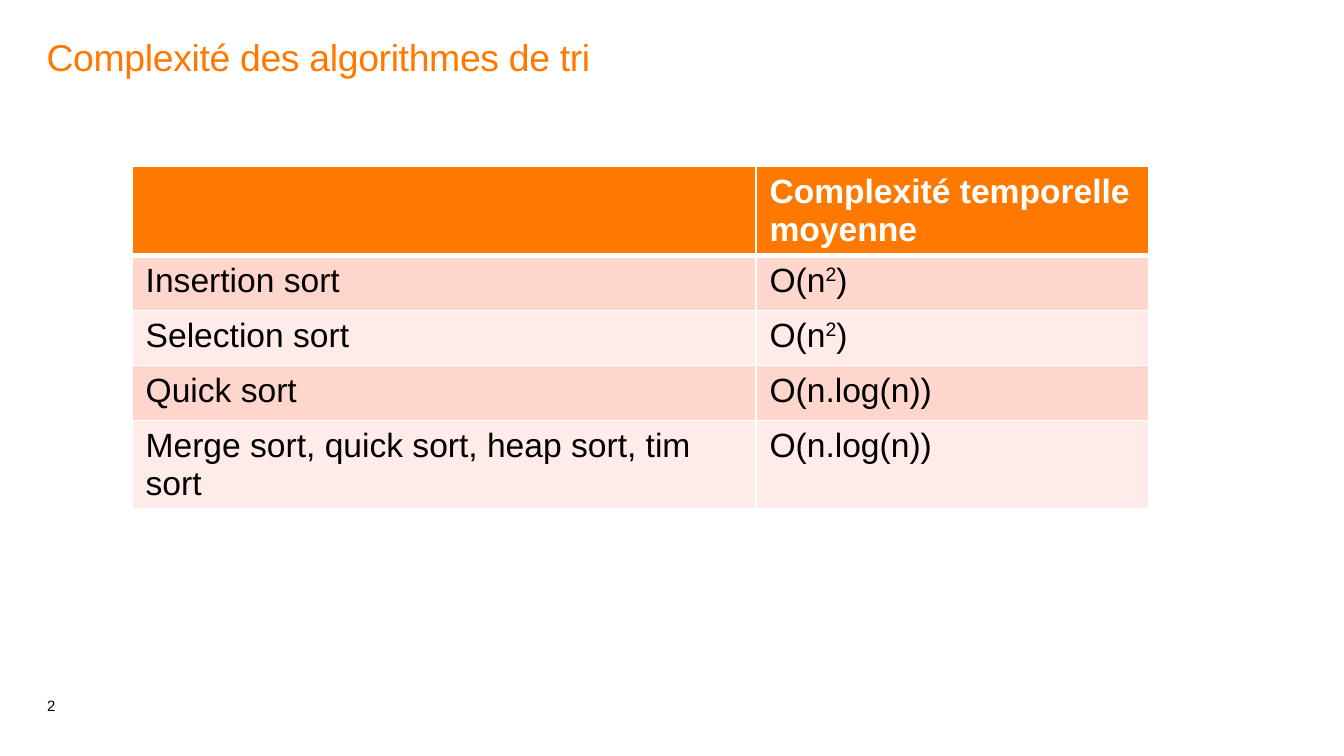
from lxml.etree import SubElement
from pptx import Presentation
from pptx.dml.color import RGBColor
from pptx.enum.text import MSO_ANCHOR, PP_ALIGN
from pptx.oxml.ns import qn
from pptx.util import Cm, Pt

COLORS = {
    "orange": "FF7900",
    "dark_band": "FFD6CC",
    "light_band": "FFEBE7",
    "white": "FFFFFF",
    "black": "000000",
}
FONT = "Arial"
COLUMN_WIDTHS = (11.79, 7.42)
ROW_HEIGHTS = (1.67, 1.04, 1.04, 1.04, 1.67)

# Each cell is a list of (text, is superscript) runs
QUADRATIC = [("O(n", False), ("2", True), (")", False)]
LINEARITHMIC = [("O(n.log(n))", False)]
ROWS = [
    ([], [("Complexité temporelle moyenne", False)]),
    ([("Insertion sort", False)], QUADRATIC),
    ([("Selection sort", False)], QUADRATIC),
    ([("Quick sort", False)], LINEARITHMIC),
    ([("Merge sort, quick sort, heap sort, tim sort", False)], LINEARITHMIC),
]


def color(name):
    return RGBColor.from_string(COLORS[name])


def add_run(paragraph, text, size, color_name, bold=False):
    run = paragraph.add_run()
    run.text = text
    run.font.name = FONT
    run.font.size = Pt(size)
    run.font.bold = bold
    run.font.color.rgb = color(color_name)
    return run


def prepare_frame(text_frame, anchor):
    text_frame.word_wrap = True
    text_frame.vertical_anchor = anchor
    text_frame.margin_left = text_frame.margin_right = 0
    text_frame.margin_top = text_frame.margin_bottom = 0
    return text_frame.paragraphs[0]


def add_title(slide, left, top, width, height):
    title = slide.shapes.title
    title.left, title.top, title.width, title.height = left, top, width, height
    paragraph = prepare_frame(title.text_frame, MSO_ANCHOR.TOP)
    paragraph.alignment = PP_ALIGN.LEFT
    paragraph.line_spacing = 0.9
    run = add_run(paragraph, "Complexité des algorithmes de tri", 20, "orange")
    run.font._element.set("spc", "-20")


def add_page_number(slide, left, top, width, height):
    box = slide.shapes.add_textbox(left, top, width, height)
    paragraph = prepare_frame(box.text_frame, MSO_ANCHOR.BOTTOM)
    box.text_frame.margin_left = Cm(0.03)
    paragraph.line_spacing = 0.85
    paragraph.space_after = Pt(12)
    add_run(paragraph, "2", 8, "black")


def set_borders(cell, top, bottom):
    properties = cell._tc.get_or_add_tcPr()
    widths = {"lnL": 0.96, "lnR": 0.96, "lnT": top, "lnB": bottom}
    for side, width in widths.items():
        line = SubElement(properties, qn(f"a:{side}"), w=str(Pt(width)))
        fill = SubElement(line, qn("a:solidFill"))
        SubElement(fill, qn("a:srgbClr"), val=COLORS["white"])


def fill_cell(cell, runs, row_index):
    is_header = row_index == 0
    set_borders(cell, 3 if row_index == 1 else 0.96, 3 if is_header else 0.96)
    band = "dark_band" if row_index % 2 else "light_band"
    cell.fill.solid()
    cell.fill.fore_color.rgb = color("orange" if is_header else band)
    paragraph = cell.text_frame.paragraphs[0]
    for text, superscript in runs:
        run = add_run(paragraph, text, 18, "white" if is_header else "black", is_header)
        if superscript:
            run.font._element.set("baseline", "33000")


def add_complexity_table(slide, left, top, width, height):
    frame = slide.shapes.add_table(len(ROWS), len(COLUMN_WIDTHS), left, top, width, height)
    table = frame.table
    for column, column_width in zip(table.columns, COLUMN_WIDTHS):
        column.width = Cm(column_width)
    for row_index, (row, row_height) in enumerate(zip(table.rows, ROW_HEIGHTS)):
        row.height = Cm(row_height)
        for cell, runs in zip(row.cells, ROWS[row_index]):
            fill_cell(cell, runs, row_index)


def main():
    presentation = Presentation()
    presentation.slide_width, presentation.slide_height = Cm(25.4), Cm(14.29)
    slide = presentation.slides.add_slide(presentation.slide_layouts[5])

    # Title, table and page number
    add_title(slide, Cm(0.88), Cm(0.74), Cm(23.65), Cm(2.06))
    add_complexity_table(slide, Cm(2.5), Cm(3.15), Cm(sum(COLUMN_WIDTHS)), Cm(sum(ROW_HEIGHTS)))
    add_page_number(slide, Cm(0.86), Cm(12.6), Cm(0.76), Cm(0.91))

    presentation.save("out.pptx")


if __name__ == "__main__":
    main()
